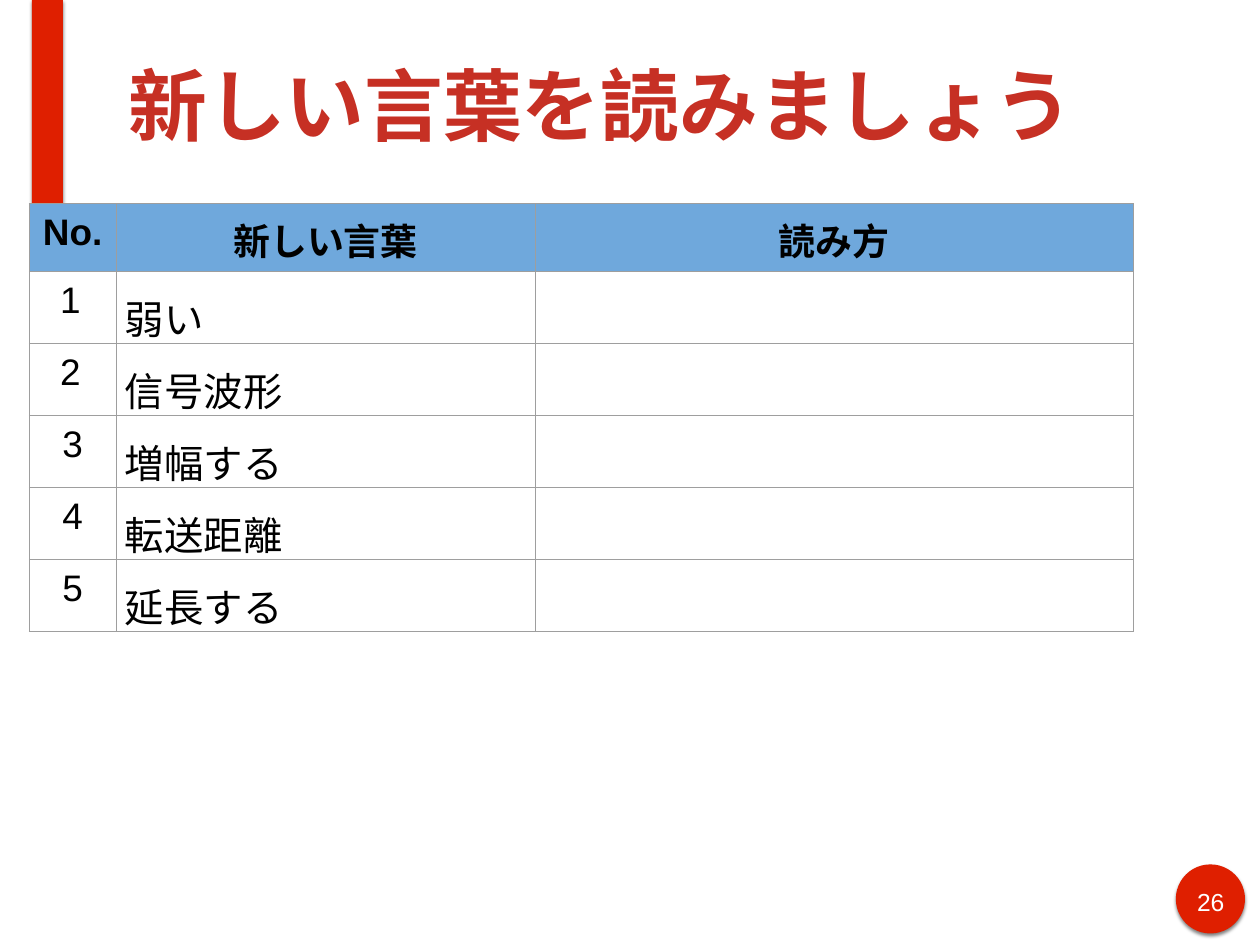
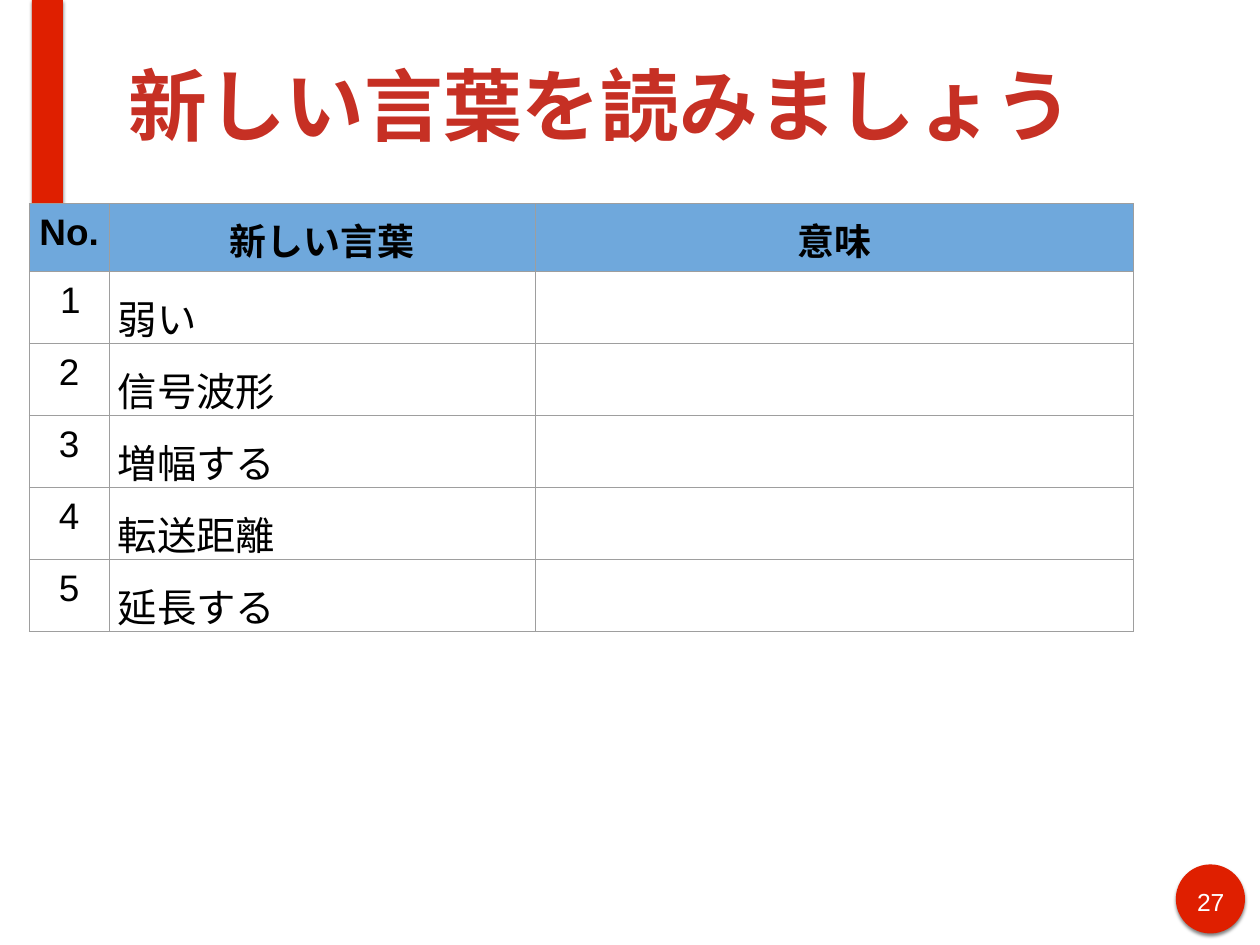
"""Build two vocabulary slides, one for readings and one for meanings."""
from lxml import etree
from pptx import Presentation
from pptx.dml.color import RGBColor
from pptx.enum.shapes import MSO_SHAPE
from pptx.enum.text import MSO_ANCHOR, PP_ALIGN
from pptx.oxml import parse_xml
from pptx.oxml.ns import nsdecls, qn
from pptx.util import Inches, Pt

CENTER, LEFT = PP_ALIGN.CENTER, PP_ALIGN.LEFT
TOP, MIDDLE = MSO_ANCHOR.TOP, MSO_ANCHOR.MIDDLE
OVAL, RECTANGLE = MSO_SHAPE.OVAL, MSO_SHAPE.RECTANGLE

COLORS = {
    "accent": "DF1F00",
    "title": "C63024",
    "header": "6FA8DC",
    "border": "9E9E9E",
    "text": "000000",
    "page": "FFFFFF",
}
FONTS = {
    "title": {"size": Pt(64), "bold": True},
    "page": {"size": Pt(20), "bold": False},
    "header": {"size": Pt(30), "bold": True},
    "number": {"size": Pt(30), "bold": False},
    "word": {"size": Pt(32), "bold": False},
}
PARAGRAPHS = {
    "title": {"alignment": LEFT},
    "page": {"alignment": CENTER},
    "header": {"alignment": CENTER},
    "number": {"alignment": CENTER},
    "word": {"alignment": LEFT, "line_spacing": 1.15, "space_after": Pt(25)},
}
INSETS = ("margin_left", "margin_top", "margin_right", "margin_bottom")

TITLE = "新しい言葉を読みましょう"
WORDS = ["弱い", "信号波形", "増幅する", "転送距離", "延長する"]
PAGES = [
    {"page": "26", "answer": "読み方", "number_share": 6.89, "indented": 2},
    {"page": "27", "answer": "意味", "number_share": 6.33, "indented": 1},
]
DECORATIONS = [
    (OVAL, (93.32, 91.47, 5.49, 7.31)),
    (RECTANGLE, (2.53, 0, 2.46, 22.12)),
]
PAGE_AREA = (94.37, 93.25, 3.45, 3.66)
TITLE_AREA = (9.77, 1.12, 85.37, 19.87)
TABLE_AREA = (2.32, 21.56, 87.62, 42.74)
ANSWER_SHARE = 47.47

prs = Presentation()
prs.slide_width, prs.slide_height = Inches(14.22), Inches(10.67)


def place(area):
    """Turn percentages of the slide into left, top, width and height."""
    sides = (prs.slide_width, prs.slide_height) * 2
    return [round(side * share / 100) for side, share in zip(sides, area)]


def write(frame, text, style, color):
    """Write one styled paragraph and return it."""
    paragraph = frame.paragraphs[0]
    for name, value in PARAGRAPHS[style].items():
        setattr(paragraph, name, value)
    run = paragraph.add_run()
    run.text = text
    run.font.name = "Arial"
    run.font.color.rgb = RGBColor.from_string(COLORS[color])
    for name, value in FONTS[style].items():
        setattr(run.font, name, value)
    return paragraph


for page in PAGES:
    slide = prs.slides.add_slide(prs.slide_layouts[6])

    for outline, area in DECORATIONS:
        decoration = slide.shapes.add_shape(outline, *place(area))
        decoration.fill.solid()
        decoration.fill.fore_color.rgb = RGBColor.from_string(COLORS["accent"])
        decoration.line.fill.background()
        decoration.shadow.inherit = False
        decoration._element.spPr.find(qn("a:effectLst")).append(parse_xml(
            f'<a:outerShdw {nsdecls("a")} blurRad="{Pt(3)}" dist="{Pt(2)}" '
            f'dir="5400000" rotWithShape="0"><a:srgbClr val="{COLORS["text"]}">'
            '<a:alpha val="50000"/></a:srgbClr></a:outerShdw>'))

    for area, text, style, anchor in [
        (PAGE_AREA, page["page"], "page", TOP),
        (TITLE_AREA, TITLE, "title", MIDDLE),
    ]:
        frame = slide.shapes.add_textbox(*place(area)).text_frame
        frame.word_wrap = True
        frame.vertical_anchor = anchor
        for inset in INSETS:
            setattr(frame, inset, Inches(0.06))
        write(frame, text, style, style)

    rows = [("No.", "新しい言葉", page["answer"])]
    rows += [(str(number), word, "") for number, word in enumerate(WORDS, 1)]
    vocabulary = slide.shapes.add_table(len(rows), 3, *place(TABLE_AREA)).table
    vocabulary.first_row = vocabulary.horz_banding = False
    word_share = TABLE_AREA[2] - ANSWER_SHARE - page["number_share"]
    shares = (page["number_share"], word_share, ANSWER_SHARE)
    for column, share in zip(vocabulary.columns, shares):
        column.width = round(prs.slide_width * share / 100)

    for row_index, row in enumerate(rows):
        for column_index, text in enumerate(row):
            cell = vocabulary.cell(row_index, column_index)
            for inset in INSETS:
                setattr(cell, inset, Inches(0.1))
            properties = cell._tc.get_or_add_tcPr()
            for side in ("lnL", "lnR", "lnT", "lnB"):
                border = etree.SubElement(properties, qn(f"a:{side}"), w=str(Pt(0.75)))
                fill = etree.SubElement(border, qn("a:solidFill"))
                etree.SubElement(fill, qn("a:srgbClr"), val=COLORS["border"])
            if row_index == 0:
                cell.fill.solid()
                cell.fill.fore_color.rgb = RGBColor.from_string(COLORS["header"])
            else:
                cell.fill.background()
            if text:
                style = "header" if row_index == 0 else ("number", "word")[column_index]
                paragraph = write(cell.text_frame, text, style, "text")
                if style == "number" and row_index <= page["indented"]:
                    paragraph.alignment = LEFT
                    paragraph._p.get_or_add_pPr().set("marL", str(Inches(0.25)))

prs.save("out.pptx")
